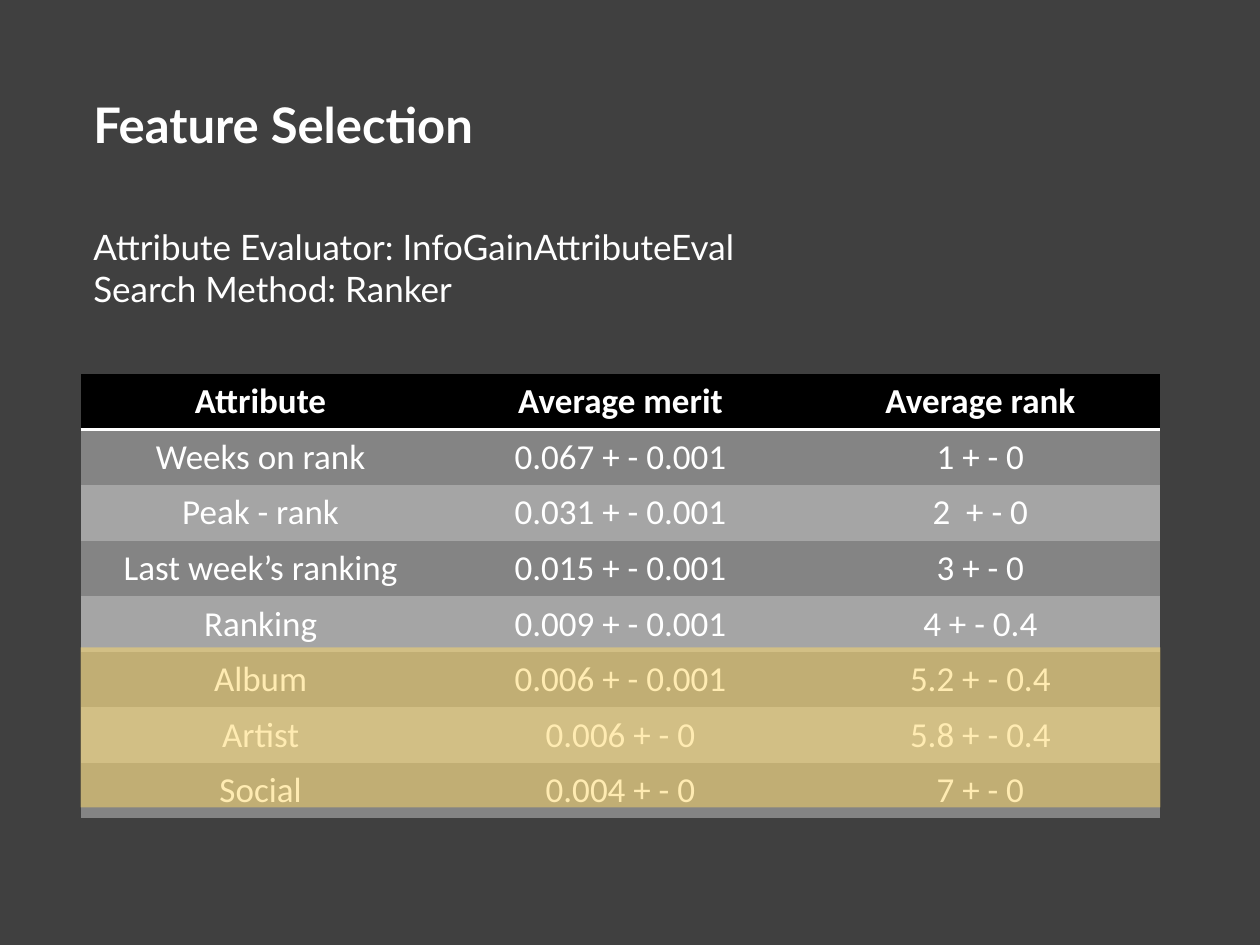
from lxml import etree
from pptx import Presentation, util as u
from pptx.dml import color
from pptx.enum import shapes, text
from pptx.oxml import ns

WIDTH, HEIGHT = 10, 7.5
LEFT = 0.64
TABLE_BOX = (LEFT, 2.97, 8.57, 3.47)
WHITE = "FFFFFF"
RANKING = [
    ("Attribute", "Average merit", "Average rank"),
    ("Weeks on rank", "0.067 + - 0.001", "1 + - 0"),
    ("Peak - rank", "0.031 + - 0.001", "2  + - 0"),
    ("Last week’s ranking", "0.015 + - 0.001", "3 + - 0"),
    ("Ranking", "0.009 + - 0.001", "4 + - 0.4"),
    ("Album", "0.006 + - 0.001", "5.2 + - 0.4"),
    ("Artist", "0.006 + - 0", "5.8 + - 0.4"),
    ("Social", "0.004 + - 0", "7 + - 0"),
]


def paint(fill, value):
    """Give a fill a solid colour from a hex string."""
    fill.solid()
    fill.fore_color.rgb = color.RGBColor.from_string(value)


def add_span(para, words, size, font, bold=False):
    """Add one white run to a paragraph."""
    span = para.add_run()
    span.text = words
    span.font.size = u.Pt(size)
    span.font.name = font
    span.font.bold = bold
    paint(span.font.fill, WHITE)


def fill_placeholder(holder, box, lines, size, bold=False):
    """Place a placeholder and write its lines left-aligned without bullets."""
    holder.left, holder.top, holder.width, holder.height = map(u.Inches, box)
    frame = holder.text_frame
    frame.word_wrap = True
    frame.auto_size = text.MSO_AUTO_SIZE.NONE
    frame.vertical_anchor = text.MSO_ANCHOR.MIDDLE
    for index, line in enumerate(lines):
        para = frame.add_paragraph() if index else frame.paragraphs[0]
        para.alignment = text.PP_ALIGN.LEFT
        para.space_before = u.Pt(0)
        properties = para._p.get_or_add_pPr()
        properties.set("marL", "0")
        properties.set("indent", "0")
        etree.SubElement(properties, ns.qn("a:buNone"))
        add_span(para, line, size, "Lato", bold)


def underline_cell(cell, value, points):
    """Draw a solid border along the bottom of a cell."""
    line = etree.Element(ns.qn("a:lnB"), w=str(u.Pt(points)))
    solid = etree.SubElement(line, ns.qn("a:solidFill"))
    etree.SubElement(solid, ns.qn("a:srgbClr"), val=value)
    cell._tc.get_or_add_tcPr().insert(0, line)


def add_ranking_table(page, box, rows):
    """Add the attribute table with a black header and grey bands."""
    table = page.shapes.add_table(len(rows), len(rows[0]), *map(u.Inches, box)).table
    table.horz_banding = False
    style = table._tbl.tblPr.find(ns.qn("a:tableStyleId"))
    style.text = "{2D5ABB26-0587-4C30-8999-92F81FD0307C}"
    for row, values in enumerate(rows):
        for column, words in enumerate(values):
            cell = table.cell(row, column)
            cell.vertical_anchor = text.MSO_ANCHOR.MIDDLE
            para = cell.text_frame.paragraphs[0]
            para.alignment = text.PP_ALIGN.CENTER
            add_span(para, words, 20, "Calibri", row == 0)
            paint(cell.fill, "000000" if row == 0 else ("A5A5A5", "848484")[row % 2])
            if row == 0:
                underline_cell(cell, WHITE, 2)


def add_highlight(page, box, value, opacity):
    """Cover a box with a see-through rectangle."""
    cover = page.shapes.add_shape(shapes.MSO_SHAPE.RECTANGLE, *map(u.Inches, box))
    cover.shadow.inherit = False
    cover.line.fill.background()
    paint(cover.fill, value)
    tint = cover._element.spPr.find(".//" + ns.qn("a:srgbClr"))
    etree.SubElement(tint, ns.qn("a:alpha"), val=str(opacity * 1000))


def main():
    """Build the feature selection slide."""
    deck = Presentation()
    deck.slide_width, deck.slide_height = u.Inches(WIDTH), u.Inches(HEIGHT)
    page = deck.slides.add_slide(deck.slide_layouts[1])
    paint(page.background.fill, "404040")
    fill_placeholder(page.shapes.title, (LEFT, 0.7, 5.56, 0.57), ["Feature Selection"], 28, True)
    fill_placeholder(
        page.placeholders[1],
        (LEFT, 1.74, 7.22, 0.77),
        ["Attribute Evaluator: InfoGainAttributeEval", "Search Method: Ranker"],
        20,
    )
    add_ranking_table(page, TABLE_BOX, RANKING)
    left, top, width, height = TABLE_BOX
    covered = top + height * 5 / len(RANKING)
    add_highlight(page, (left, covered, width, 1.27), "FFD966", 50)
    deck.save("out.pptx")


if __name__ == "__main__":
    main()
